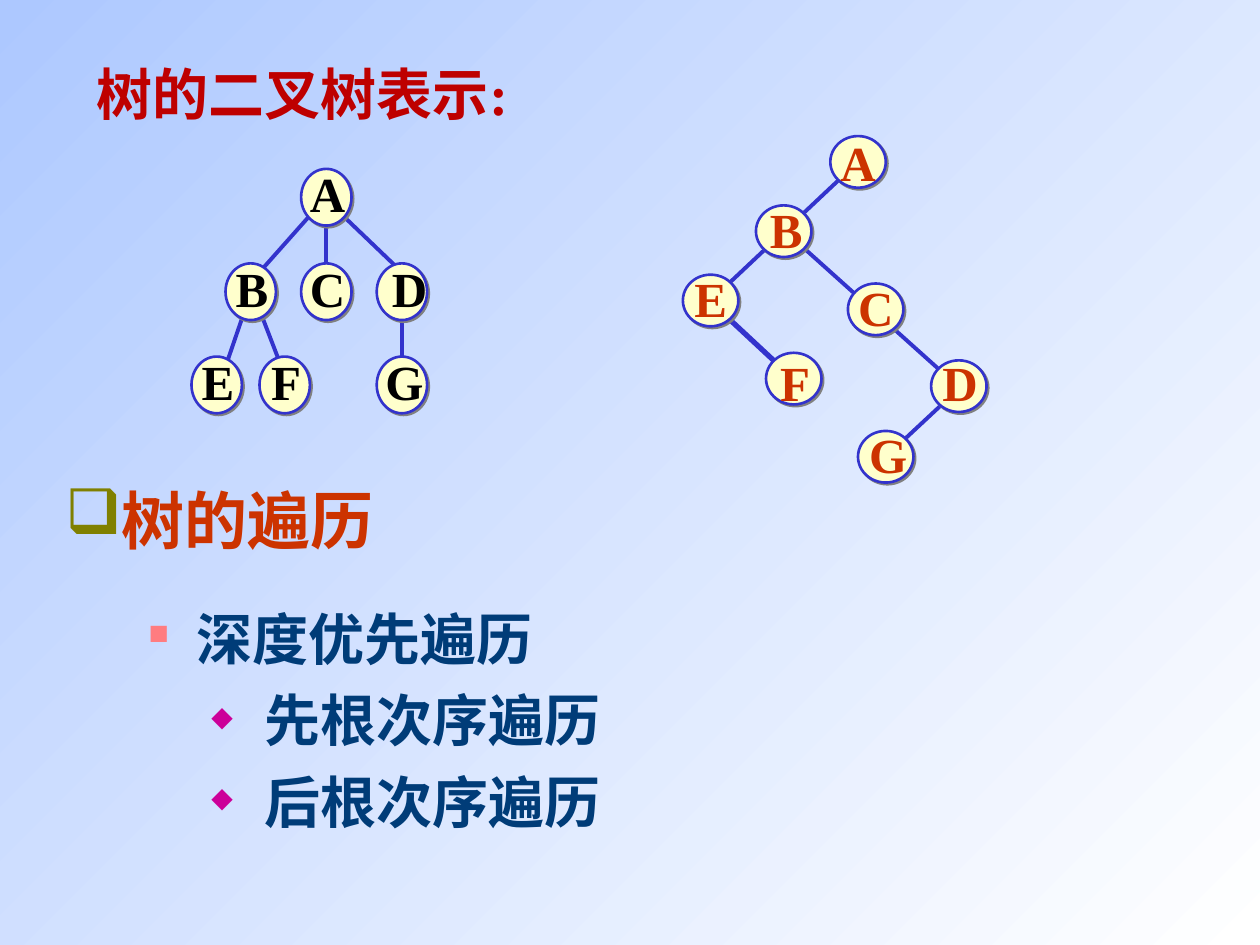
import lxml.etree
import pptx
import pptx.dml.color
import pptx.enum.shapes
import pptx.enum.text
import pptx.oxml.ns
import pptx.util
from pptx.util import Inches

COLORS = {
    "white": "FFFFFF", "sky": "ADC8FF", "title": "BE0000", "accent": "CC3300",
    "navy": "003C78", "black": "000000", "edge": "3333CC", "node": "FFFFCC",
    "shadow": "808080", "olive": "808000", "pink": "FF7C80", "magenta": "CC0099",
}
SERIF = "Times New Roman"


def rgb(name):
    """Return the named colour."""
    return pptx.dml.color.RGBColor.from_string(COLORS[name])


def add_element(parent, tag, **attributes):
    """Append a DrawingML element to its parent."""
    return lxml.etree.SubElement(parent, pptx.oxml.ns.qn(tag), **attributes)


def set_bullet(paragraph, character, color, percent=100, margin=0, hanging=0):
    """Give a paragraph a coloured bullet and a hanging indent."""
    properties = paragraph._p.get_or_add_pPr()
    properties.set("marL", str(Inches(margin)))
    properties.set("indent", str(-Inches(hanging)))
    bullet_color = add_element(properties, "a:buClr")
    add_element(bullet_color, "a:srgbClr", val=COLORS[color])
    add_element(properties, "a:buSzPct", val=str(percent * 1000))
    add_element(properties, "a:buChar", char=character)


def write_text(paragraph, text, size=32, color="navy", font=SERIF,
               align=pptx.enum.text.PP_ALIGN.LEFT, before=0, bullet=None):
    """Write one bold run with the given format."""
    if bullet:
        set_bullet(paragraph, **bullet)
    paragraph.alignment = align
    if before:
        paragraph.space_before = pptx.util.Pt(before)
    run = paragraph.add_run()
    run.text = text
    run.font.size = pptx.util.Pt(size)
    run.font.name = font
    run.font.bold = True
    run.font.color.rgb = rgb(color)


def add_text_box(shapes, box, wrap=True, middle=False):
    """Add a text box and return its text frame."""
    frame = shapes.add_textbox(*map(Inches, box)).text_frame
    frame.word_wrap = wrap
    if middle:
        frame.vertical_anchor = pptx.enum.text.MSO_ANCHOR.MIDDLE
    return frame


def add_edge(shapes, start, end, width=2.25):
    """Draw one tree edge."""
    edge = shapes.add_connector(
        pptx.enum.shapes.MSO_CONNECTOR.STRAIGHT, *map(Inches, (*start, *end)))
    edge.line.color.rgb = rgb("edge")
    edge.line.width = pptx.util.Pt(width)
    add_element(edge._element.spPr, "a:effectLst")


def add_node(shapes, box):
    """Draw one tree node with a small hard shadow."""
    node = shapes.add_shape(
        pptx.enum.shapes.MSO_SHAPE.OVAL, *map(Inches, box))
    node.fill.solid()
    node.fill.fore_color.rgb = rgb("node")
    node.line.color.rgb = rgb("edge")
    node.line.width = pptx.util.Pt(1.5)
    effects = add_element(node._element.spPr, "a:effectLst")
    shadow = add_element(effects, "a:outerShdw", dist=str(pptx.util.Pt(1.4)),
                         dir="2700000", algn="ctr", rotWithShape="0")
    add_element(shadow, "a:srgbClr", val=COLORS["shadow"])
    return node


def add_tree(shapes, origin, node_size, nodes, edges, color, shifts, inside=""):
    """Draw a tree with node and edge places relative to its origin."""
    left, top = origin
    width, height = node_size
    for (x1, y1), (x2, y2), *line_width in edges:
        add_edge(shapes, (left + x1, top + y1), (left + x2, top + y2), *line_width)
    for label, (x, y) in nodes.items():
        node = add_node(shapes, (left + x, top + y, width, height))
        if label in inside:
            frame = node.text_frame
            frame.word_wrap = False
            frame.vertical_anchor = pptx.enum.text.MSO_ANCHOR.MIDDLE
        else:
            shift_x, shift_y = shifts.get(label, (0.01, -0.03))
            label_box = (left + x + width / 2 + shift_x - 0.24,
                         top + y + height / 2 + shift_y - 0.285, 0.48, 0.57)
            frame = add_text_box(shapes, label_box, wrap=False, middle=True)
        write_text(frame.paragraphs[0], label, size=28, color=color,
                   align=pptx.enum.text.PP_ALIGN.CENTER)


def add_general_tree(slide, origin):
    """Draw the general tree as one group."""
    nodes = {"A": (0.87, 0), "B": (0.27, 0.75), "C": (0.87, 0.75),
             "D": (1.47, 0.75), "E": (0, 1.49), "F": (0.54, 1.49),
             "G": (1.47, 1.49)}
    edges = [((1.67, 1.12), (1.67, 1.57)), ((0.54, 1.12), (0.74, 1.64)),
             ((0.4, 1.19), (0.27, 1.57)), ((1.2, 0.37), (1.67, 0.82)),
             ((1.07, 0.45), (1.07, 0.82)), ((0.94, 0.37), (0.54, 0.82))]
    group = slide.shapes.add_group_shape()
    add_tree(group.shapes, origin, (0.4, 0.45), nodes, edges, "black",
             {"D": (0.06, -0.03)})


def add_binary_tree(slide, origin):
    """Draw the binary tree that represents the general tree."""
    nodes = {"A": (1.17, 0), "B": (0.58, 0.55), "C": (1.31, 1.17),
             "D": (1.97, 1.78), "E": (0, 1.1), "F": (0.66, 1.72),
             "G": (1.39, 2.34)}
    edges = [((0.29, 1.38), (0.73, 1.79), 3), ((2.12, 2.07), (1.68, 2.48)),
             ((1.31, 0.28), (0.29, 1.24)), ((0.95, 0.88), (2.12, 1.93))]
    shifts = {"B": (0.02, -0.02), "C": (0, -0.02), "E": (0, -0.02),
              "F": (0.01, 0.03), "G": (0.01, -0.02)}
    add_tree(slide.shapes, origin, (0.44, 0.41), nodes, edges, "accent",
             shifts, inside="A")


def add_title(slide, box):
    """Write the title above the trees."""
    frame = add_text_box(slide.shapes, box)
    write_text(frame.paragraphs[0], "树的二叉树表示:", color="title")


def add_heading(slide, box):
    """Write the bulleted section heading."""
    frame = add_text_box(slide.shapes, box, middle=True)
    write_text(frame.paragraphs[0], "树的遍历", size=36, color="accent",
               font="Arial", bullet={"character": "❑", "color": "olive"})


def add_traversals(slide, box):
    """List the traversal methods."""
    frame = add_text_box(slide.shapes, box)
    write_text(frame.paragraphs[0], "深度优先遍历", bullet={
        "character": "■", "color": "pink", "percent": 50,
        "margin": 0.38, "hanging": 0.38})
    for text in ("先根次序遍历", "后根次序遍历"):
        paragraph = frame.add_paragraph()
        paragraph.level = 1
        write_text(paragraph, text, before=8, bullet={
            "character": "◆", "color": "magenta", "percent": 50,
            "margin": 0.92, "hanging": 0.42})


def set_background(slide):
    """Fill the background with a diagonal gradient."""
    fill = slide.background.fill
    fill.gradient()
    fill.gradient_angle = 135
    for stop, color in zip(fill.gradient_stops, ("white", "sky")):
        stop.color.rgb = rgb(color)


def main():
    """Build and save the slide."""
    presentation = pptx.Presentation()
    presentation.slide_width = Inches(10)
    presentation.slide_height = Inches(7.5)
    slide = presentation.slides.add_slide(presentation.slide_layouts[6])
    set_background(slide)
    add_title(slide, (0.67, 0.42, 3.42, 0.64))
    add_heading(slide, (0.42, 3.75, 3.08, 0.75))
    add_traversals(slide, (1.08, 4.75, 7.83, 2))
    add_general_tree(slide, (1.52, 1.34))
    add_binary_tree(slide, (5.42, 1.08))
    presentation.save("out.pptx")


if __name__ == "__main__":
    main()
